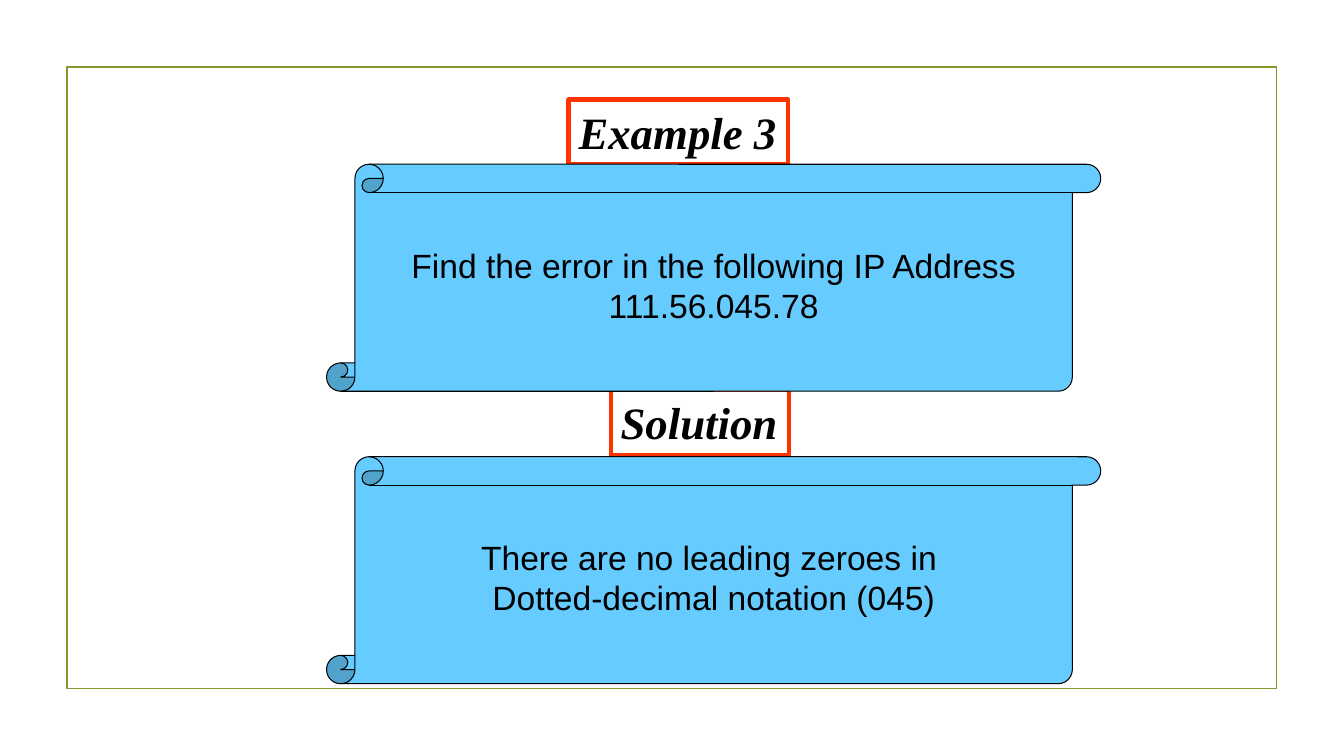
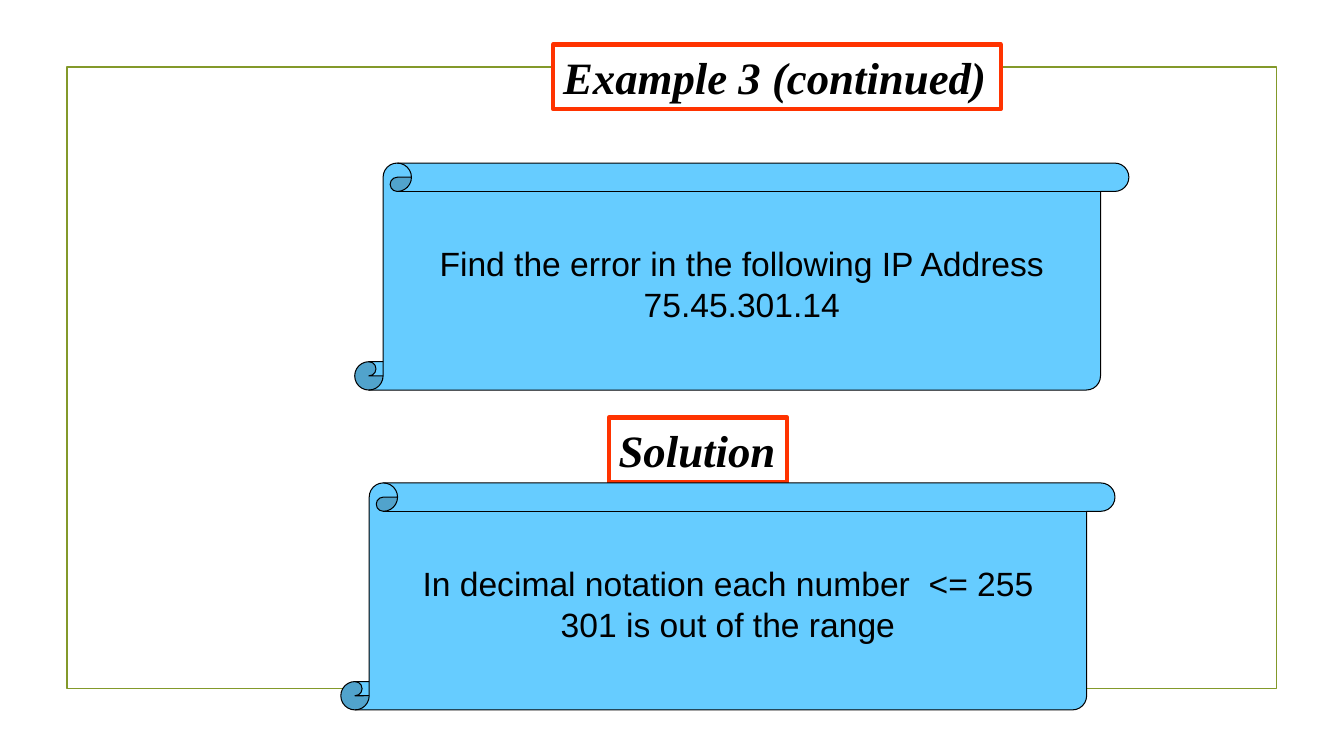
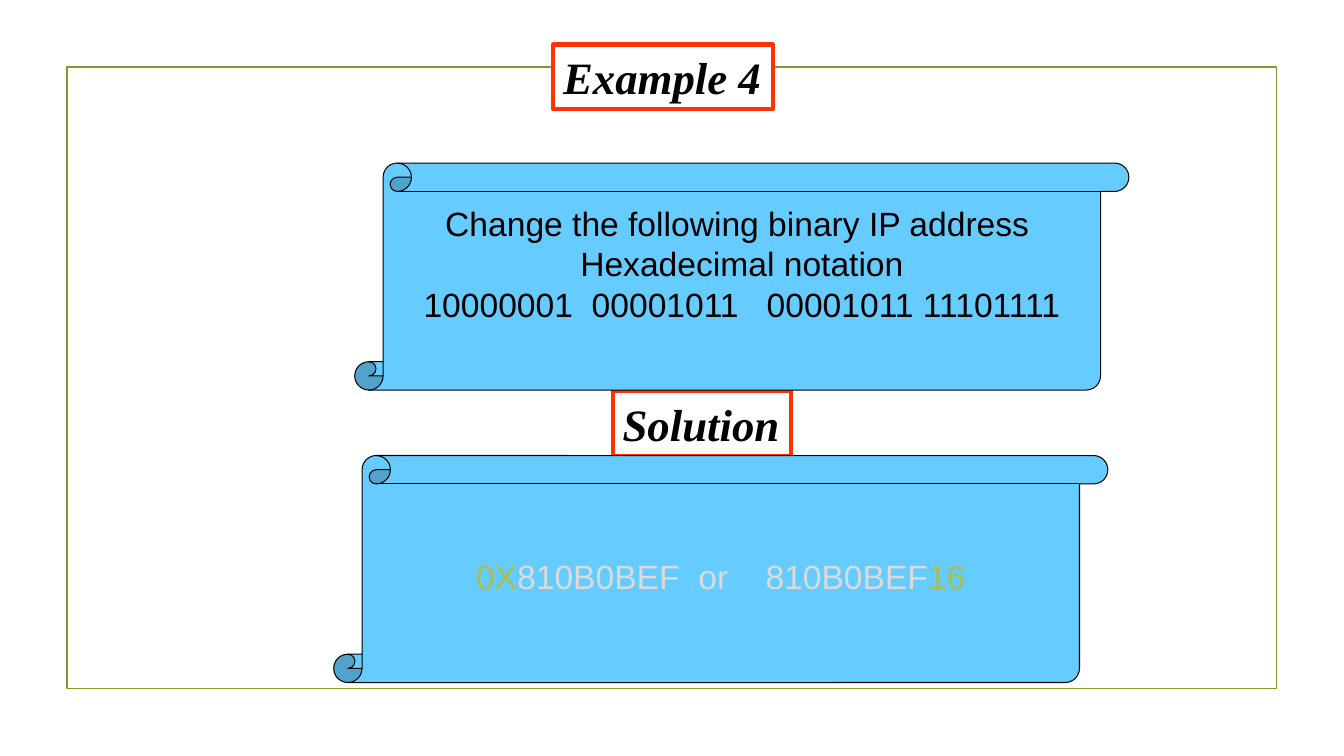
from pptx import Presentation
from pptx.dml.color import RGBColor
from pptx.enum.shapes import MSO_SHAPE
from pptx.enum.text import MSO_ANCHOR, MSO_AUTO_SIZE, PP_ALIGN
from pptx.util import Cm, Pt

INK, WHITE, RED, SKY = "000000", "FFFFFF", "FF3300", "66CCFF"
OLIVE, LIME, PALE = "83992A", "A8BF4D", "DADADA"
SPACE = 667

HEAD = {"name": "Times New Roman", "size": Pt(32), "bold": True, "italic": True}
BODY = {"name": "Arial", "size": Pt(24)}
HEAD_BOX = {"word_wrap": False, "auto_size": MSO_AUTO_SIZE.SHAPE_TO_FIT_TEXT,
            "vertical_anchor": MSO_ANCHOR.TOP}
BODY_BOX = {"word_wrap": False, "vertical_anchor": MSO_ANCHOR.MIDDLE}


def tint(code):
    """Turn a hex string into a colour."""
    return RGBColor.from_string(code)


def apply(target, style):
    """Set every value of a style on the target."""
    for key, value in style.items():
        setattr(target, key, value)


def shape(slide, kind, at, fill, edge, width):
    """Draw a preset shape, given in centimetres."""
    item = slide.shapes.add_shape(kind, *map(Cm, at))
    item.shadow.inherit = False
    if fill:
        item.fill.solid()
        item.fill.fore_color.rgb = tint(fill)
    else:
        item.fill.background()
    item.line.color.rgb = tint(edge)
    item.line.width = Pt(width)
    return item


def write(frame, lines, font, align):
    """Write lines of (text, colour, extra spaces) parts."""
    for index, parts in enumerate(lines):
        para = frame.paragraphs[0] if index == 0 else frame.add_paragraph()
        para.alignment = align
        for text, code, extra in parts:
            run = para.add_run()
            run.text = text
            apply(run.font, font)
            run.font.color.rgb = tint(code)
            if extra:
                run.font._element.set("spc", str(extra * SPACE))


def plain(*texts):
    """Make one black part out of each line of text."""
    return [[(text, INK, 0)] for text in texts]


def gap(extra, code=INK):
    """Make a space widened by some more spaces."""
    return (" ", code, extra)


def border(slide):
    """Draw the olive frame of every slide."""
    shape(slide, MSO_SHAPE.RECTANGLE, (1.69, 1.69, 30.48, 15.66), None, OLIVE, 1.25)


def label(slide, text, left, top, width):
    """Draw a heading in a red box."""
    box = shape(slide, MSO_SHAPE.RECTANGLE, (left, top, width, 1.63), WHITE, RED, 3)
    apply(box.text_frame, HEAD_BOX)
    write(box.text_frame, plain(text), HEAD, PP_ALIGN.LEFT)


def scroll(slide, lines, left, top, foot=0.13):
    """Draw a blue scroll with centred lines."""
    box = shape(slide, MSO_SHAPE.VERTICAL_SCROLL, (left, top, 19.51, 5.72), SKY, INK, 0.75)
    apply(box.text_frame, {**BODY_BOX, "margin_bottom": Cm(foot)})
    write(box.text_frame, lines, BODY, PP_ALIGN.CENTER)


def page(deck, title, solved, task, answer):
    """Add a slide with a task and its solution."""
    slide = deck.slides.add_slide(deck.slide_layouts[6])
    border(slide)
    label(slide, *title)
    label(slide, "Solution", *solved, 4.5)
    scroll(slide, *task)
    scroll(slide, *answer)


def main():
    """Build the deck and save it."""
    deck = Presentation()
    apply(deck, {"slide_width": Cm(33.87), "slide_height": Cm(19.05)})
    find = "Find the error in the following IP Address"
    page(deck, ("Example 3", 14.33, 2.51, 5.54), (15.39, 9.83),
         (plain(find, "111.56.045.78"), 8.23, 4.14),
         (plain("There are no leading zeroes in ",
                "Dotted-decimal notation (045)"), 8.23, 11.51))
    limit = [("In decimal notation each number", INK, 0), gap(1), ("<= 255", INK, 0)]
    page(deck, ("Example 3 (continued)", 13.94, 1.12, 11.28), (15.34, 10.52),
         (plain(find, "75.45.301.14"), 8.94, 4.11),
         ([limit, *plain("301 is out of the range")], 8.59, 12.17))
    bits = [("10000001", INK, 0), gap(1), ("00001011", INK, 0), gap(2),
            ("00001011 11101111", INK, 0)]
    codes = [("0X", LIME, 0), ("810B0BEF", PALE, 0), gap(1, PALE), ("or", PALE, 0),
             gap(3, PALE), ("810B0BEF", PALE, 0), ("16", LIME, 0)]
    page(deck, ("Example 4", 13.94, 1.12, 5.54), (15.44, 9.86),
         ([*plain("Change the following binary IP address ",
                  "Hexadecimal notation"), bits], 8.94, 4.11, 1.14),
         ([codes], 8.41, 11.48))
    deck.save("out.pptx")


if __name__ == "__main__":
    main()
